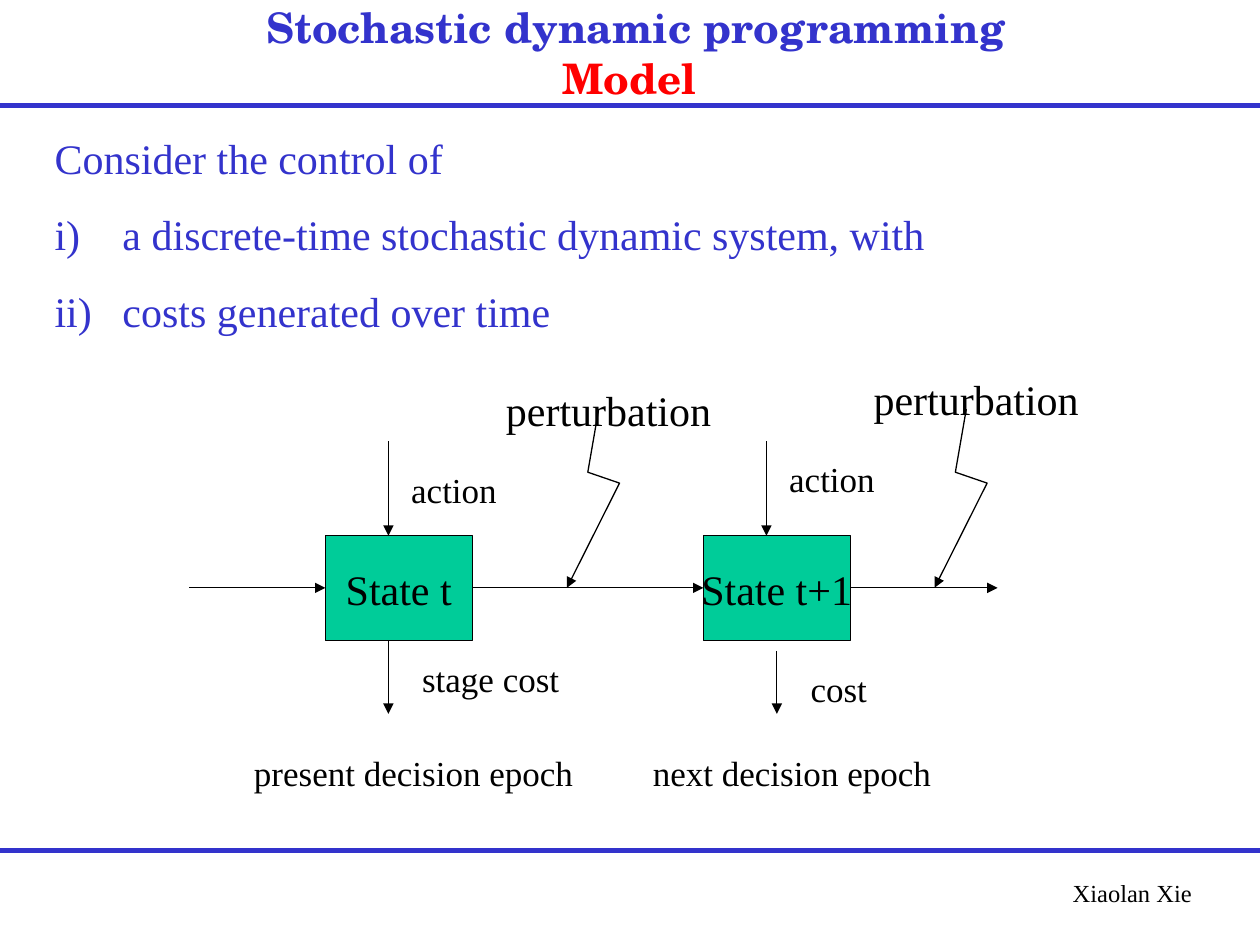
from lxml.etree import SubElement
from pptx import Presentation
from pptx.dml.color import RGBColor
from pptx.enum.shapes import MSO_CONNECTOR, MSO_SHAPE
from pptx.enum.text import MSO_ANCHOR as Anchor, MSO_AUTO_SIZE as AutoSize, PP_ALIGN as Align
from pptx.oxml.ns import qn
from pptx.util import Cm, Pt

BLUE, RED, BLACK, GREEN = "3333CC", "FF0000", "000000", "00CC99"
SERIF, SCHOLA = "Times New Roman", "TeX Gyre Schola"

# Places are in centimetres: left, top, width, height
TITLE = [("Stochastic dynamic programming", BLUE), ("Model ", RED)]
TITLE_PLACE = (1.06, 0.21, 23.5, 1.69)
RULES = [17.15, 2.12]
AUTHOR = ("Xiaolan Xie", (18.57, 17.58, 5.71, 0.86))
INTRO = "Consider the control of"
ITEMS = ["a discrete-time stochastic dynamic system, with", "costs generated over time"]
BODY_PLACE = (0.85, 2.54, 23.7, 4.37)

STATES = [("State t", 6.56), ("State t+1", 14.18)]
STATE_TOP, STATE_WIDTH, STATE_HEIGHT = 10.8, 2.96, 2.12
FLOW_Y, FLOW_START, FLOW_END = 11.85, 3.81, 20.11
VERTICAL_ARROWS = [  # x, top, bottom
    (7.83, 8.89, 10.8), (7.83, 12.92, 14.39),
    (15.45, 8.89, 10.8), (15.66, 13.12, 14.39),
]
LABELS = [  # text, size, left, top, width
    ("action", 20, 8.04, 9.31, 2.54),
    ("action", 20, 15.66, 9.1, 2.54),
    ("stage cost", 20, 8.26, 13.12, 5.72),
    ("cost", 20, 16.09, 13.34, 2.54),
    ("present decision epoch", 20, 4.87, 15.03, 7),
    ("next decision epoch", 20, 12.91, 15.03, 7),
    ("perturbation", 24, 9.95, 7.62, 4.7),
    ("perturbation", 24, 17.36, 7.41, 4.7),
]
BOLT_LEFTS = [11.43, 18.84]
BOLT = [(0.64, 8.25), (0.42, 9.52), (1.06, 9.74), (0, FLOW_Y)]


def color(value):
    return RGBColor.from_string(value)


def place(*lengths):
    return [Cm(length) for length in lengths]


def set_format(target, **values):
    for name, value in values.items():
        setattr(target, name, value)


def set_font(font, size, name=SERIF, ink=BLACK, bold=False):
    set_format(font, size=Pt(size), name=name, bold=bold)
    font.color.rgb = color(ink)


def set_line(shape, ink=BLACK, width=0.75, arrow=False):
    shape.line.color.rgb = color(ink)
    shape.line.width = Pt(width)
    if arrow:
        SubElement(shape.line._get_or_add_ln(), qn("a:tailEnd"), type="triangle")


def add_line(slide, start, end, **style):
    line = slide.shapes.add_connector(MSO_CONNECTOR.STRAIGHT, *place(*start, *end))
    set_line(line, **style)
    SubElement(line._element.spPr, qn("a:effectLst"))


def add_text(slide, text, box_place, size, align=Align.LEFT):
    box = slide.shapes.add_textbox(*place(*box_place))
    box.text_frame.word_wrap = True
    para = box.text_frame.paragraphs[0]
    set_format(para, text=text, alignment=align)
    set_font(para.font, size)


def add_title(slide):
    title = slide.shapes.title
    set_format(title, **dict(zip(("left", "top", "width", "height"), place(*TITLE_PLACE))))
    set_format(title.text_frame, auto_size=AutoSize.NONE, word_wrap=True,
               vertical_anchor=Anchor.MIDDLE)
    para = title.text_frame.paragraphs[0]
    para.alignment = Align.CENTER
    for index, (text, ink) in enumerate(TITLE):
        if index:
            para.add_line_break()
        span = para.add_run()
        span.text = text
        set_font(span.font, 24, SCHOLA, ink, True)


def add_body(slide):
    frame = slide.shapes.add_textbox(*place(*BODY_PLACE)).text_frame
    frame.word_wrap = True
    for index, text in enumerate([INTRO, *ITEMS]):
        para = frame.add_paragraph() if index else frame.paragraphs[0]
        set_format(para, text=text, alignment=Align.JUSTIFY)
        props = para._p.get_or_add_pPr()
        props.set("marL", str(Cm(1.37)))
        props.set("indent", str(-Cm(1.37)))
        if index:
            para.space_before = Pt(15)
            SubElement(props, qn("a:buFont"), typeface=SERIF)
            SubElement(props, qn("a:buAutoNum"), type="romanLcParenR")
        set_font(para.font, 24, ink=BLUE)
        set_font(para.runs[0].font, 24, ink=BLUE)


def add_state(slide, text, left):
    box = slide.shapes.add_shape(
        MSO_SHAPE.RECTANGLE, *place(left, STATE_TOP, STATE_WIDTH, STATE_HEIGHT))
    box.shadow.inherit = False
    box.fill.solid()
    box.fill.fore_color.rgb = color(GREEN)
    set_line(box)
    set_format(box.text_frame, word_wrap=False, vertical_anchor=Anchor.MIDDLE)
    para = box.text_frame.paragraphs[0]
    set_format(para, text=text, alignment=Align.CENTER)
    set_font(para.font, 24)


def add_bolt(slide, left):
    points = [place(left + x, y) for x, y in BOLT]
    builder = slide.shapes.build_freeform(*points[0])
    builder.add_line_segments(points[1:], close=False)
    bolt = builder.convert_to_shape()
    bolt.shadow.inherit = False
    bolt.fill.background()
    set_line(bolt, arrow=True)


def main():
    deck = Presentation()
    deck.slide_width, deck.slide_height = place(25.4, 19.05)
    slide = deck.slides.add_slide(deck.slide_layouts[5])
    for y in RULES:
        add_line(slide, (0, y), (25.4, y), ink=BLUE, width=3)
    add_text(slide, *AUTHOR, 14, Align.RIGHT)
    add_title(slide)
    add_body(slide)

    for text, left in STATES:
        add_state(slide, text, left)
    starts = [FLOW_START] + [left + STATE_WIDTH for _, left in STATES]
    ends = [left for _, left in STATES] + [FLOW_END]
    for start, end in zip(starts, ends):
        add_line(slide, (start, FLOW_Y), (end, FLOW_Y), arrow=True)
    for x, top, bottom in VERTICAL_ARROWS:
        add_line(slide, (x, top), (x, bottom), arrow=True)
    for left in BOLT_LEFTS:
        add_bolt(slide, left)
    for text, size, left, top, width in LABELS:
        add_text(slide, text, (left, top, width, 1.12 if size == 20 else 1.27), size)

    deck.save("out.pptx")


if __name__ == "__main__":
    main()
